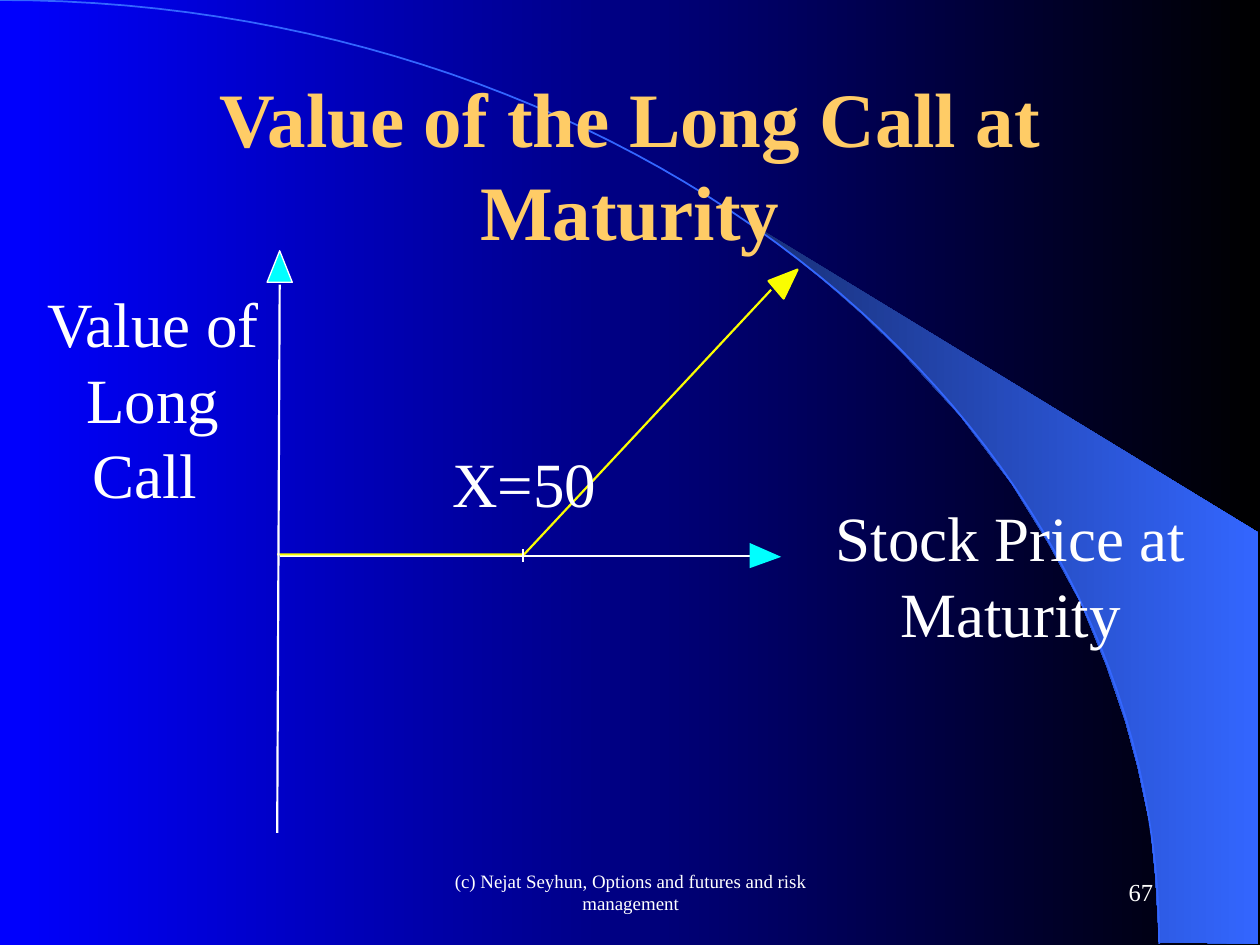
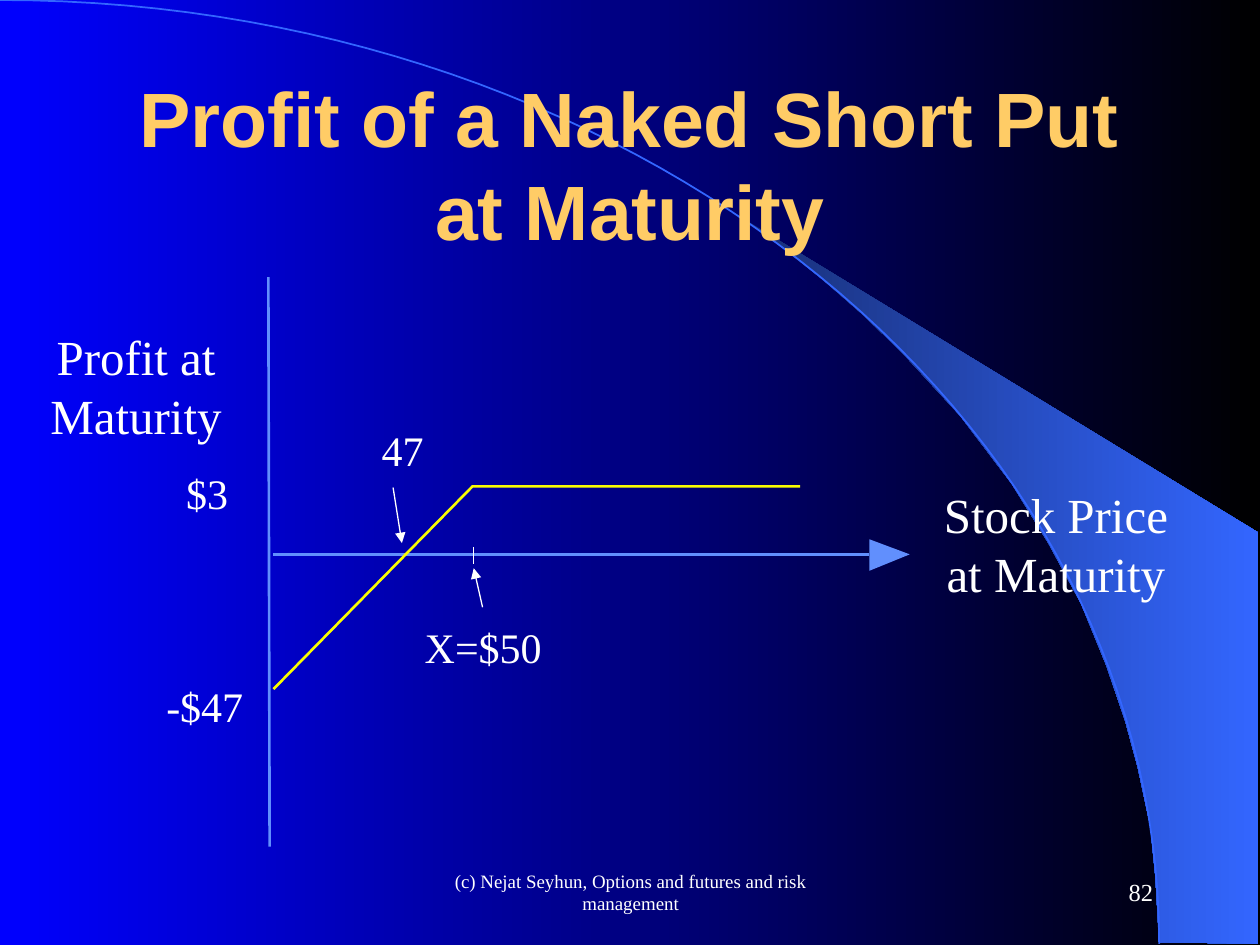
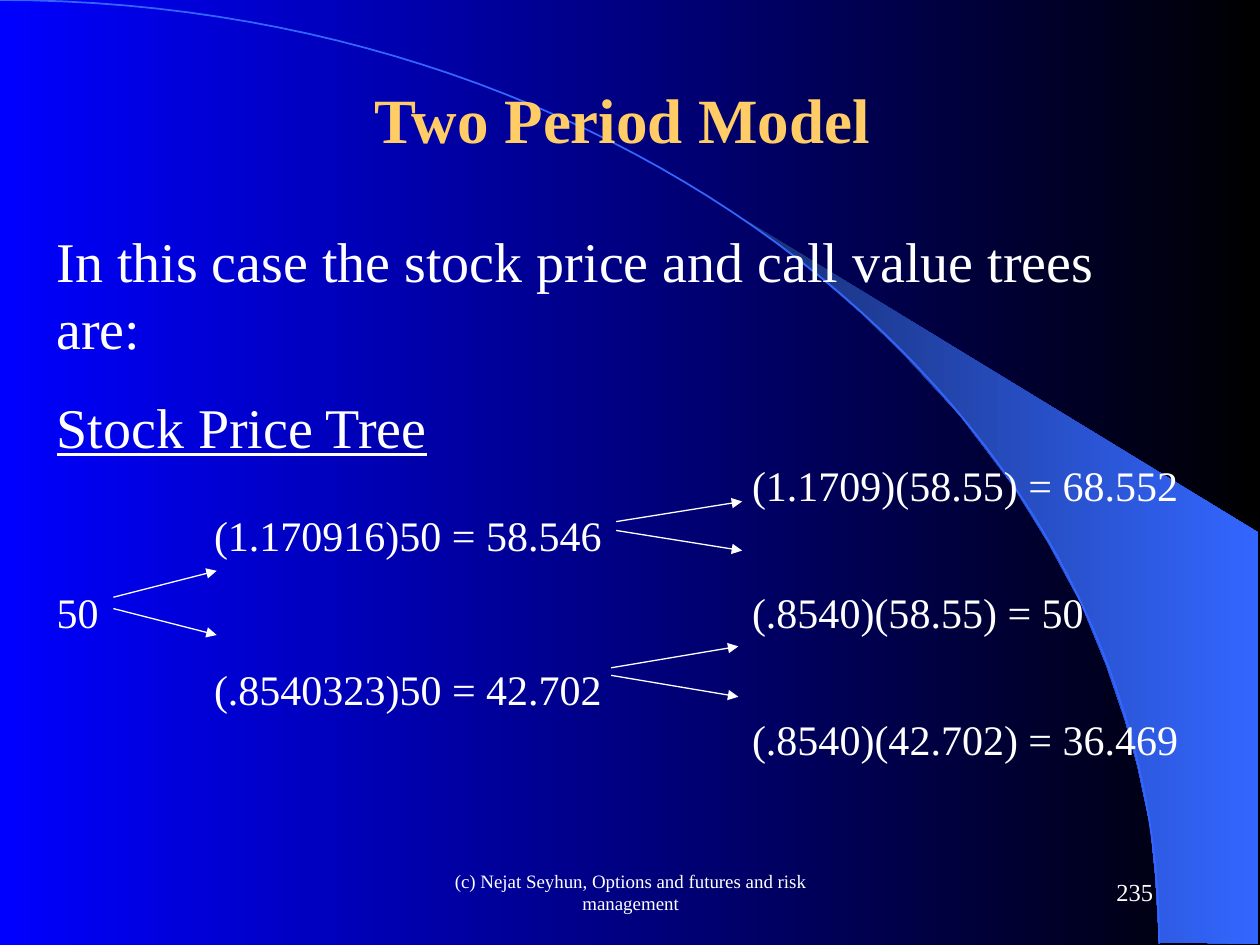
from dataclasses import dataclass
from typing import Any

from lxml import etree
from pptx import Presentation
from pptx.dml.color import RGBColor
from pptx.enum.shapes import MSO_CONNECTOR
from pptx.enum.text import MSO_ANCHOR as ANCHOR, PP_ALIGN as ALIGN
from pptx.oxml.ns import qn
from pptx.util import Pt

PX = 9144  # 100 px to the inch
WIDTH, HEIGHT = 1000, 750
WHITE, YELLOW, CYAN = "FFFFFF", "FAFD00", "00FFFF"
GOLD, AXIS_BLUE, ARC_BLUE = "FFCC66", "618FFD", "3366FF"
SERIF, SANS = "Times New Roman", "Arial"
FOOTER = "(c) Nejat Seyhun, Options and futures and risk management"
SWOOSH = [(920, 748), (999, 749), (999, 423), (589, 173), (624, 199),
          (653, 222), (685, 250), (716, 280), (762, 330), (803, 384),
          (832, 431), (858, 479), (878, 528), (893, 572), (903, 609),
          (913, 656), (917, 696)]


@dataclass
class Box:
    """A region of a slide; parts are placed from its top left corner."""
    slide: Any
    x: int
    y: int
    w: int
    h: int

    def point(self, x, y):
        return round((self.x + x) * PX), round((self.y + y) * PX)


def rgb(color):
    return RGBColor.from_string(color)


def gradient(fill, start, end):
    fill.gradient()
    fill.gradient_angle = 0
    for stop, color in zip(fill.gradient_stops, (start, end)):
        stop.color.rgb = rgb(color)


def add_paragraph(tf, content, size=24, color=WHITE, font=SERIF, bold=False,
                  underline=False, align=ALIGN.CENTER, before=0, after=0,
                  tabs=()):
    p = tf.paragraphs[0]
    if p.runs:
        p = tf.add_paragraph()
    p.alignment = align
    p.space_before, p.space_after = Pt(before), Pt(after)
    if tabs:
        tab_list = etree.SubElement(p._p.get_or_add_pPr(), qn("a:tabLst"))
        for pos in tabs:
            etree.SubElement(tab_list, qn("a:tab"), pos=str(pos * PX), algn="l")
    r = p.add_run()
    r.text = content
    f = r.font
    f.name, f.size, f.bold, f.underline = font, Pt(size), bold, underline
    f.color.rgb = rgb(color)


def add_text(box, x, y, w, h, *lines, wrap=False, anchor=ANCHOR.TOP, **fmt):
    sp = box.slide.shapes.add_textbox(*box.point(x, y), w * PX, h * PX)
    tf = sp.text_frame
    tf.word_wrap = wrap
    tf.vertical_anchor = anchor
    for content in lines:
        add_paragraph(tf, content, **fmt)
    return tf


def add_line(box, start, end, color=WHITE, width=0.75, arrow=False):
    line = box.slide.shapes.add_connector(
        MSO_CONNECTOR.STRAIGHT, *box.point(*start), *box.point(*end))
    line.line.color.rgb = rgb(color)
    line.line.width = Pt(width)
    if arrow:
        etree.SubElement(line.line._get_or_add_ln(), qn("a:tailEnd"),
                         type="triangle")
    etree.SubElement(line._element.spPr, qn("a:effectLst"))


def add_outline(box, points, fill=None, color=None, width=0.75):
    """Draw a closed shape if it has a fill (one colour or two), else a path."""
    first, *rest = [box.point(*pt) for pt in points]
    builder = box.slide.shapes.build_freeform(*first, scale=1.0)
    builder.add_line_segments(rest, close=bool(fill))
    sp = builder.convert_to_shape()
    sp.shadow.inherit = False
    if isinstance(fill, tuple):
        gradient(sp.fill, *fill)
    elif fill:
        sp.fill.solid()
        sp.fill.fore_color.rgb = rgb(fill)
    else:
        sp.fill.background()
    if color:
        sp.line.color.rgb = rgb(color)
        sp.line.width = Pt(width)
    else:
        sp.line.fill.background()


def arc_points(steps=60):
    """Points of the cubic curve from the top left to the foot of the swoosh."""
    curve = [(0, 0), (508, 0), (920, 335), (920, 749)]
    for i in range(steps + 1):
        t = i / steps
        weights = ((1 - t) ** 3, 3 * t * (1 - t) ** 2, 3 * t * t * (1 - t), t ** 3)
        yield tuple(sum(k * pt[axis] for k, pt in zip(weights, curve))
                    for axis in (0, 1))


def add_base_slide(prs, number):
    slide = prs.slides.add_slide(prs.slide_layouts[6])
    page = Box(slide, 0, 0, WIDTH, HEIGHT)
    add_outline(page, SWOOSH, fill=("182F76", ARC_BLUE))
    add_outline(page, arc_points(), color=ARC_BLUE, width=1)
    footer = dict(wrap=True, anchor=ANCHOR.MIDDLE)
    add_text(page, 342, 683, 317, 50, FOOTER, size=10.8, **footer)
    add_text(page, 717, 683, 208, 50, str(number), size=14, align=ALIGN.RIGHT,
             **footer)
    return slide


def add_title(box, content, font):
    add_text(box, 0, 0, box.w, box.h, content, size=44, color=GOLD, font=font,
             bold=True, wrap=True, anchor=ANCHOR.MIDDLE)


def add_long_call(box):
    add_line(box, (202, 241), (578, 241), width=1.25)
    add_outline(box, [(575, 231), (600, 242), (575, 251)], fill=CYAN)
    add_outline(box, [(192, 24), (202, -1), (212, 24)], fill=CYAN, color=WHITE)
    add_outline(box, [(200, 240), (396, 240), (592, 30)], color=YELLOW, width=1.25)
    add_line(box, (395, 236), (395, 246))
    add_line(box, (200, 461), (202, 26), width=1.25)
    add_text(box, 5, 21, 193, 190, "Value of", "Long", "Call ", size=36)
    add_text(box, 633, 191, 298, 130, "Stock Price at", "Maturity", size=36)
    add_text(box, 329, 148, 134, 70, "X=50", size=36)
    add_outline(box, [(590, 23), (613, 14), (602, 37)], fill=YELLOW,
                color=YELLOW, width=1.25)


def add_short_put(box):
    add_line(box, (197, 240), (670, 240), AXIS_BLUE, 1.5)
    add_outline(box, [(670, 228), (702, 240), (670, 253)], fill=AXIS_BLUE)
    add_outline(box, [(197, 347), (355, 186), (615, 186)], color=YELLOW, width=1.5)
    add_line(box, (356, 234), (356, 248))
    add_line(box, (194, 472), (193, 20), AXIS_BLUE, 1.5)
    add_text(box, 707, 180, 222, 104, "Stock Price at Maturity", size=28, wrap=True)
    add_text(box, 10, 54, 156, 104, "Profit at", "Maturity", size=28)
    for content, x, y, w in (("X=$50", 307, 288, 113), ("-$47", 102, 335, 81),
                             ("$3", 118, 166, 53), ("47", 273, 132, 53)):
        add_text(box, x, y, w, 50, content)
    add_line(box, (363, 282), (356, 251), arrow=True)
    add_line(box, (292, 187), (299, 231), arrow=True)


def add_fork(box, x, y, run, rise, gap):
    """Draw an up and a down arrow that start a gap apart."""
    for top, step in ((y, -rise), (y + gap, rise)):
        add_line(box, (x, top), (x + run, top + step), arrow=True)


def add_price_tree(box):
    tf = add_text(box, 0, 0, box.w, box.h, "Two Period Model", size=36,
                  color=GOLD, bold=True, wrap=True)
    left = dict(align=ALIGN.LEFT)
    add_paragraph(tf, "In this case the stock price and call value trees are:",
                  size=32, before=40, **left)
    add_paragraph(tf, "Stock Price Tree", size=32, underline=True, before=18, **left)
    for content, gap in (("\t\t(1.1709)(58.55) = 68.552", 0),
                         ("\t(1.170916)50 = 58.546", 0),
                         ("50\t\t(.8540)(58.55) = 50", 15),
                         ("\t(.8540323)50 = 42.702", 0),
                         ("\t\t(.8540)(42.702) = 36.469", 0)):
        add_paragraph(tf, content, before=gap, after=gap, tabs=(125, 552), **left)
    add_fork(box, 55, 415, run=82, rise=21, gap=9)
    add_fork(box, 454, 355, run=100, rise=16, gap=7)
    add_fork(box, 450, 471, run=101, rise=17, gap=6)


def main():
    prs = Presentation()
    prs.slide_width, prs.slide_height = WIDTH * PX, HEIGHT * PX
    gradient(prs.slide_master.background.fill, "0000FF", "000000")

    for number, title, font, add_payoff in (
            (67, "Value of the Long Call at Maturity", SERIF, add_long_call),
            (82, "Profit of a Naked Short Put at Maturity", SANS, add_short_put)):
        slide = add_base_slide(prs, number)
        add_title(Box(slide, 75, 67, 850, 125), title, font)
        add_payoff(Box(slide, 20, 200, 940, 475))

    add_price_tree(Box(add_base_slide(prs, 235), 35, 59, 918, 552))
    prs.save("out.pptx")


if __name__ == "__main__":
    main()
